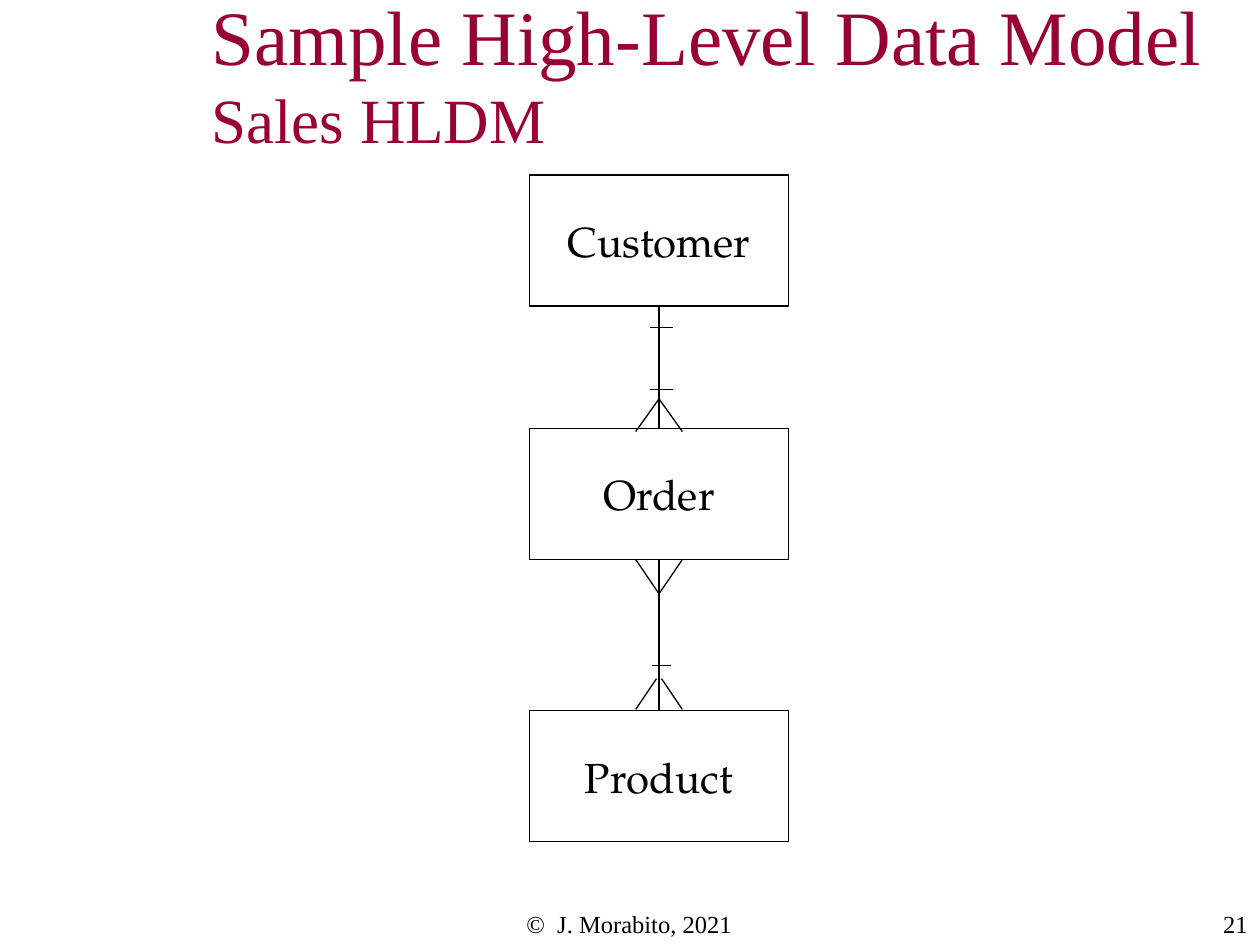
from dataclasses import dataclass

from lxml import etree
from pptx import Presentation
from pptx.dml.color import RGBColor
from pptx.enum import shapes, text
from pptx.oxml.ns import qn
from pptx.util import Cm, Pt


@dataclass(frozen=True)
class Theme:
    ink: RGBColor = RGBColor(0, 0, 0)
    heading: RGBColor = RGBColor(0x99, 0x00, 0x33)
    serif: str = "Times New Roman"
    label: str = "TeX Gyre Pagella"
    title_size: int = 44
    subtitle_size: int = 36
    label_size: int = 24
    footer_size: int = 14
    line: float = 0.75


THEME = Theme()
TOP, BOTTOM = 0, 2


def add_text(p, content, size, font=THEME.serif, color=THEME.ink,
             align=text.PP_ALIGN.LEFT):
    p.alignment = align
    r = p.add_run()
    r.text = content
    r.font.size, r.font.name = Pt(size), font
    r.font.color.rgb = color


def add_line(container, x1, y1, x2, y2):
    c = container.add_connector(shapes.MSO_CONNECTOR.STRAIGHT,
                                Cm(x1), Cm(y1), Cm(x2), Cm(y2))
    c.line.color.rgb, c.line.width = THEME.ink, Pt(THEME.line)
    etree.SubElement(c._element.spPr, qn("a:effectLst"))
    return c


def add_title(slide, left, top, width, height, title, subtitle):
    sp = slide.shapes.title
    sp.left, sp.top, sp.width, sp.height = map(Cm, (left, top, width, height))
    tf = sp.text_frame
    tf.auto_size = text.MSO_AUTO_SIZE.NONE
    tf.vertical_anchor = text.MSO_ANCHOR.MIDDLE
    p = tf.paragraphs[0]
    add_text(p, title, THEME.title_size, color=THEME.heading)
    p.add_line_break()
    add_text(p, subtitle, THEME.subtitle_size, color=THEME.heading)


def add_footer(slide, left, top, width, height, content, align):
    sp = slide.shapes.add_textbox(*map(Cm, (left, top, width, height)))
    sp.text_frame.word_wrap = True
    add_text(sp.text_frame.paragraphs[0], content, THEME.footer_size, align=align)


def add_entity(slide, left, top, width, height, name):
    sp = slide.shapes.add_shape(shapes.MSO_SHAPE.RECTANGLE,
                                *map(Cm, (left, top, width, height)))
    sp.shadow.inherit = False
    sp.fill.background()
    sp.line.color.rgb, sp.line.width = THEME.ink, Pt(THEME.line)
    tf = sp.text_frame
    tf.word_wrap = False
    tf.vertical_anchor = text.MSO_ANCHOR.MIDDLE
    add_text(tf.paragraphs[0], name, THEME.label_size, THEME.label,
             align=text.PP_ALIGN.CENTER)
    return sp


def add_bar(container, x, y, half=0.23):
    """Draw the "one" mark across a relationship line."""
    add_line(container, x + 0.05 + half, y, x + 0.05 - half, y)


def add_crows_foot(container, x, base, tip, tip_gap=0.0):
    """Draw the "many" mark, opening from tip towards base."""
    for side in (1, -1):
        add_line(container, x + side * tip_gap, tip, x + side * 0.47, base)


def add_relationship(slide, upper, lower, x, y1, y2):
    c = add_line(slide.shapes, x, y1, x, y2)
    c.begin_connect(upper, BOTTOM)
    c.end_connect(lower, TOP)


def add_data_model(slide, left, top, width, height):
    x = left + width / 2
    tops = [top, top + 5.11, top + 10.8]
    customer, order, product = [
        add_entity(slide, left, y, width, height, name)
        for y, name in zip(tops, ("Customer", "Order", "Product"))]
    customer_end, order_end = tops[0] + height, tops[1] + height
    add_relationship(slide, customer, order, x, customer_end, tops[1])
    add_relationship(slide, order, product, x, order_end, tops[2])

    order_mark = slide.shapes.add_group_shape().shapes
    add_crows_foot(order_mark, x, tops[1] + 0.06, tops[1] - 0.6)
    add_bar(order_mark, x, tops[1] - 0.79)

    add_crows_foot(slide.shapes, x, order_end, order_end + 0.69)

    product_mark = slide.shapes.add_group_shape().shapes
    add_crows_foot(product_mark, x, tops[2] - 0.03, tops[2] - 0.65, tip_gap=0.05)
    add_bar(product_mark, x, tops[2] - 0.91, half=0.2)

    add_bar(slide.shapes, x, customer_end + 0.43)


def main():
    prs = Presentation()
    prs.slide_width, prs.slide_height = Cm(25.4), Cm(19.05)
    slide = prs.slides.add_slide(prs.slide_layouts[5])
    add_footer(slide, 8.66, 18.21, 8.05, 0.64, "©  J. Morabito, 2021",
               text.PP_ALIGN.CENTER)
    add_footer(slide, 21.79, 18.21, 3.61, 0.84, "21", text.PP_ALIGN.RIGHT)
    add_title(slide, 4.01, 0.2, 21.39, 2.51,
              "Sample High-Level Data Model", "Sales HLDM")
    add_data_model(slide, 10.67, 3.53, 5.23, 2.64)
    prs.save("out.pptx")


if __name__ == "__main__":
    main()
